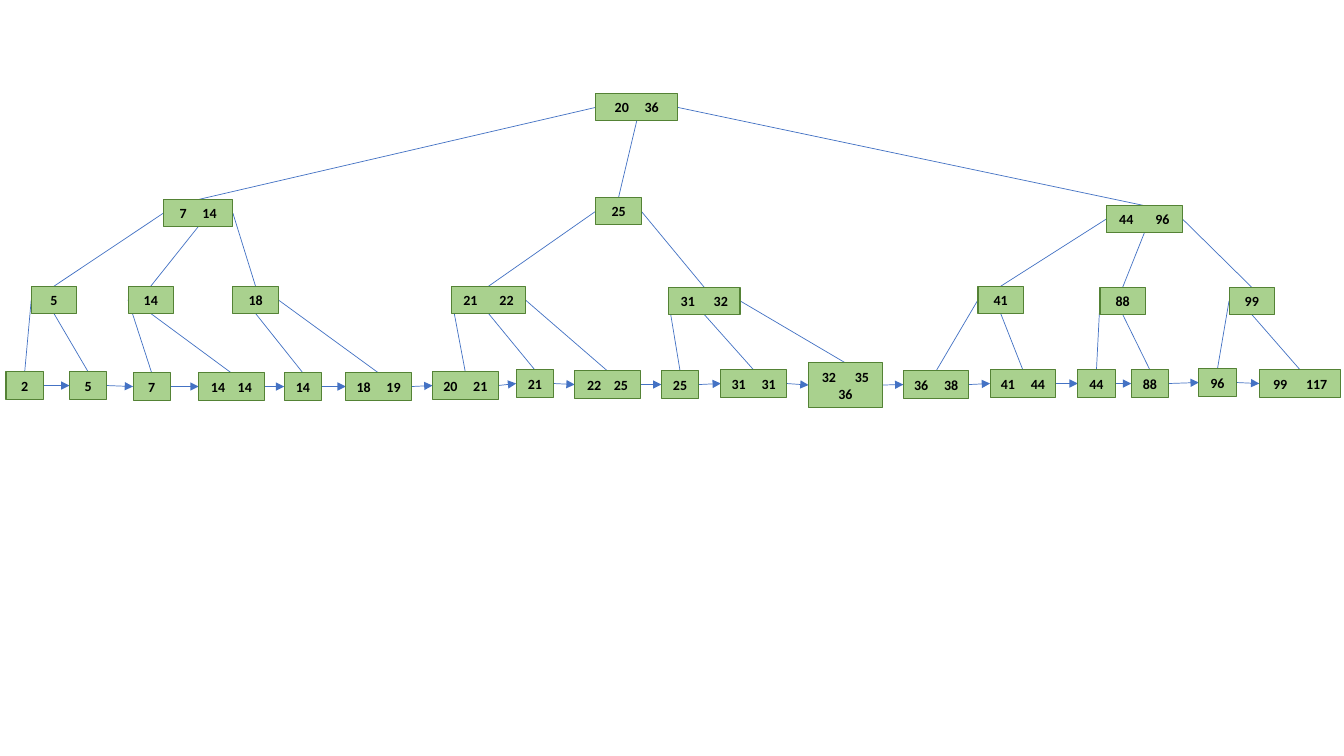
"""Draw a B+ tree with linked leaves on one slide."""
import pptx
import pptx.dml.color
import pptx.enum.shapes
import pptx.enum.text
import pptx.oxml
import pptx.oxml.ns
import pptx.util

GREEN = pptx.dml.color.RGBColor(0xA9, 0xD1, 0x8E)
EDGE = pptx.dml.color.RGBColor(0x54, 0x82, 0x35)
BLUE = pptx.dml.color.RGBColor(0x44, 0x72, 0xC4)
BLACK = pptx.dml.color.RGBColor(0, 0, 0)

CELL = pptx.util.Inches(0.1)
TALL = 2.7
SPACE = 225
TOP, LEFT, BASE, RIGHT = range(4)

# Each node: keys, gap in spaces, column, row, width, parent, parent side.
ROOT = [("20 36", 5, 59.1, 9.3, 8.1, None, None)]
INNER = [
    ("7 14", 5, 16.2, 19.8, 6.9, 0, LEFT),
    ("25", 1, 59.1, 19.6, 4.5, 0, BASE),
    ("44 96", 7, 109.7, 20.4, 7.6, 0, RIGHT),
]
LOWER = [
    ("5", 1, 3.1, 28.4, 4.5, 0, LEFT),
    ("14", 1, 12.7, 28.4, 4.5, 0, BASE),
    ("18", 1, 23.1, 28.4, 4.5, 0, RIGHT),
    ("21 22", 7, 44.8, 28.4, 7.3, 1, LEFT),
    ("31 32", 6, 66.3, 28.5, 7.1, 1, RIGHT),
    ("41", 1, 97, 28.4, 4.5, 2, LEFT),
    ("88", 1, 109.1, 28.5, 4.5, 2, BASE),
    ("99", 1, 121.9, 28.5, 4.5, 2, RIGHT),
]
LEAVES = [
    ("2", 1, 0.6, 36.9, 3.7, 0, LEFT),
    ("5", 1, 6.9, 36.9, 3.7, 0, BASE),
    ("7", 1, 13.2, 37, 3.7, 1, LEFT),
    ("14 14", 4, 19.7, 37, 6.5, 1, BASE),
    ("14", 1, 28.2, 37, 3.7, 2, BASE),
    ("18 19", 5, 34.3, 37, 6.5, 2, RIGHT),
    ("20 21", 5, 42.9, 36.9, 6.5, 3, LEFT),
    ("21", 1, 51.2, 36.7, 3.7, 3, BASE),
    ("22 25", 4, 57, 36.8, 6.5, 3, RIGHT),
    ("25", 1, 65.6, 36.8, 3.7, 4, LEFT),
    ("31 31", 5, 71.5, 36.7, 6.5, 4, BASE),
    ("32 35 36", 6, 80.2, 36, 7.3, 4, RIGHT),
    ("36 38", 5, 89.6, 36.8, 6.5, 5, LEFT),
    ("41 44", 5, 98.2, 36.7, 6.5, 5, BASE),
    ("44", 1, 106.9, 36.7, 3.7, 6, LEFT),
    ("88", 1, 112.2, 36.7, 3.7, 6, BASE),
    ("96", 1, 118.9, 36.6, 3.7, 7, LEFT),
    ("99 117", 6, 124.9, 36.7, 8.1, 7, BASE),
]


def add_node(keys, gap, col, row, wide):
    """Add a box whose keys stand apart by one widened space."""
    parts = keys.split()
    high = 4.4 if len(parts) == 3 else TALL
    box = shapes.add_shape(
        pptx.enum.shapes.MSO_SHAPE.RECTANGLE,
        round(col * CELL), round(row * CELL), round(wide * CELL), round(high * CELL))
    box.shadow.inherit = False
    box.fill.solid()
    box.fill.fore_color.rgb = GREEN
    box.line.color.rgb = EDGE
    box.line.width = pptx.util.Pt(0.75)
    frame = box.text_frame
    frame.word_wrap = True
    frame.auto_size = pptx.enum.text.MSO_AUTO_SIZE.SHAPE_TO_FIT_TEXT
    frame.vertical_anchor = pptx.enum.text.MSO_ANCHOR.MIDDLE
    para = frame.paragraphs[0]
    para.alignment = pptx.enum.text.PP_ALIGN.CENTER
    for word in " | ".join(parts).replace(" | ", "| |").split("|"):
        run = para.add_run()
        run.text = word
        run.font.name = "Calibri"
        run.font.size = pptx.util.Pt(10)
        run.font.bold = True
        run.font.color.rgb = BLACK
        if word == " ":
            run._r.get_or_add_rPr().set("spc", str((gap - 1) * SPACE))
    return box


def add_link(start, out, end, into, arrow=False):
    """Join two boxes with a thin line placed behind all boxes."""
    link = shapes.add_connector(pptx.enum.shapes.MSO_CONNECTOR.STRAIGHT, 0, 0, 0, 0)
    link.begin_connect(start, out)
    link.end_connect(end, into)
    link.line.color.rgb = BLUE
    link.line.width = pptx.util.Pt(0.5)
    props = link._element.spPr
    if arrow:
        tail = pptx.oxml.parse_xml(
            "<a:tailEnd %s type='triangle'/>" % pptx.oxml.ns.nsdecls("a"))
        link.line._get_or_add_ln().append(tail)
    props.append(pptx.oxml.parse_xml("<a:effectLst %s/>" % pptx.oxml.ns.nsdecls("a")))
    shapes._spTree.insert(2, link._element)


deck = pptx.Presentation()
deck.slide_width = pptx.util.Inches(13.33)
deck.slide_height = pptx.util.Inches(7.5)
shapes = deck.slides.add_slide(deck.slide_layouts[6]).shapes

above = []
for level in (ROOT, INNER, LOWER, LEAVES):
    boxes = []
    for *look, parent, side in level:
        box = add_node(*look)
        if parent is not None:
            add_link(above[parent], side, box, TOP)
        boxes.append(box)
    above = boxes

for left, right in zip(above, above[1:]):
    add_link(left, RIGHT, right, LEFT, arrow=True)

deck.save("out.pptx")
